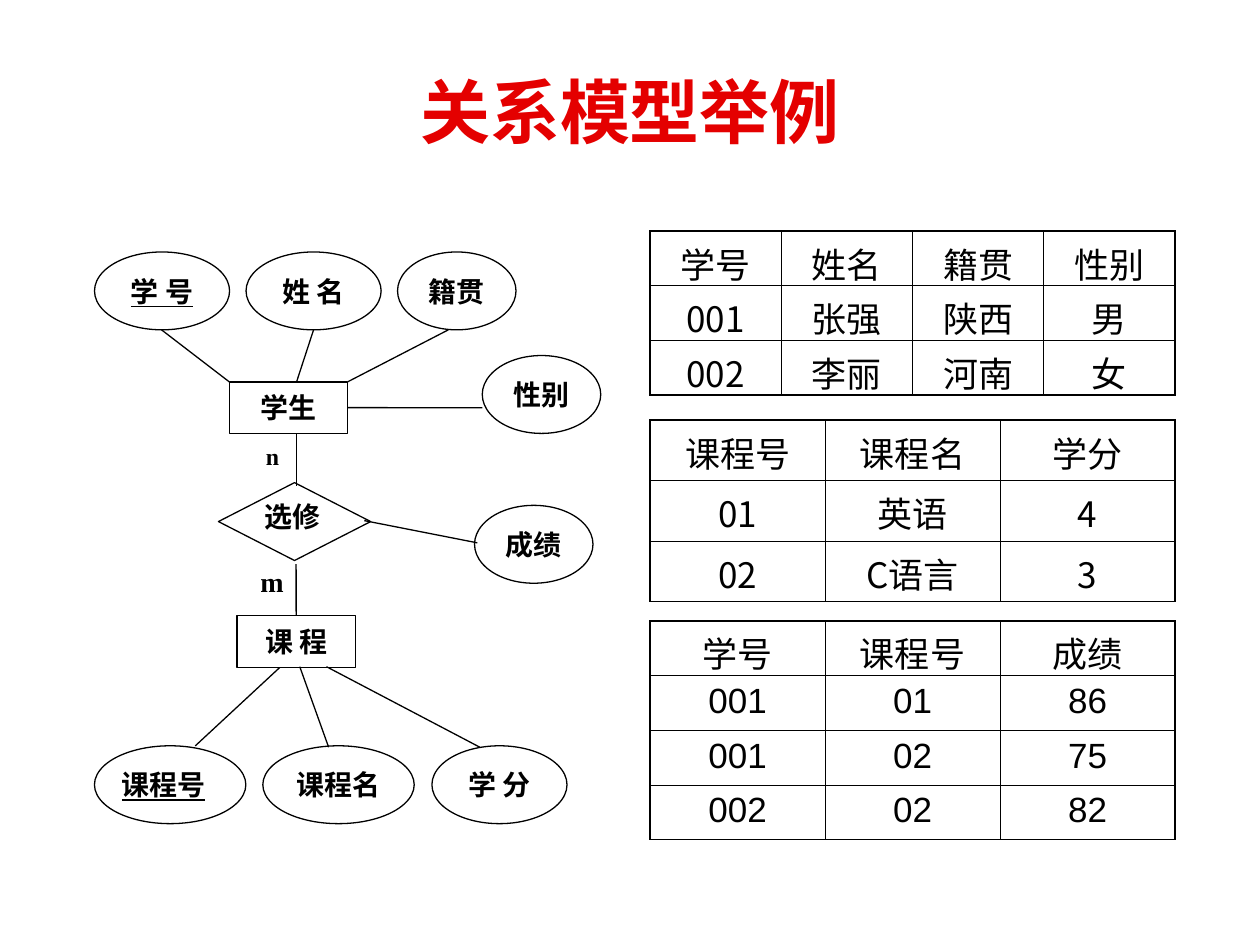
from dataclasses import dataclass

from lxml import etree
from pptx import Presentation
from pptx.dml.color import RGBColor
from pptx.enum.shapes import MSO_CONNECTOR, MSO_SHAPE
from pptx.enum.text import MSO_ANCHOR, PP_ALIGN
from pptx.oxml.ns import qn
from pptx.util import Pt

ELLIPSE, RECT, DIAMOND = MSO_SHAPE.OVAL, MSO_SHAPE.RECTANGLE, MSO_SHAPE.DIAMOND
STRAIGHT = MSO_CONNECTOR.STRAIGHT
CENTER, JUSTIFY = PP_ALIGN.CENTER, PP_ALIGN.JUSTIFY
TOP, MIDDLE = MSO_ANCHOR.TOP, MSO_ANCHOR.MIDDLE


@dataclass(frozen=True)
class Theme:
    red: RGBColor = RGBColor(0xE4, 0x00, 0x00)
    black: RGBColor = RGBColor(0, 0, 0)
    white: RGBColor = RGBColor(255, 255, 255)
    cjk: str = "Noto Sans CJK SC"
    sans: str = "Arial"
    serif: str = "Times New Roman"
    title: float = 40
    cell: float = 20
    node: float = 16
    small: float = 13.6
    line: float = 0.75
    outer: float = 1.08
    inner: float = 0.45


T = Theme()
ELLIPSE_H, BOX_W, BOX_H = 44.5, 67.7, 29.5
ATTRIBUTES = [
    ("学 号", 54, 144, 77.2),
    ("姓 名", 140.6, 144, 77.2),
    ("籍贯", 227.2, 144, 67.7),
    ("性别", 275.6, 203.2, 67.7),
    ("成绩", 271.2, 288.8, 67.7),
    ("课程号", 54, 426.2, 86.5),
    ("课程名", 150.2, 426.2, 86.5),
    ("学 分", 246.8, 426.2, 77.2),
]
KEYS = {"学 号": {"underline": True}, "课程号": {"underline": True}}
LINES = [
    (92.3, 188.5, 131, 218.2),
    (179.2, 188.5, 169.5, 218.2),
    (256.2, 188.5, 198.7, 218.2),
    (169.5, 247.7, 169.5, 277.7),
    (208.2, 297.5, 272.8, 310.2),
    (159.8, 381.5, 111.6, 426.2),
    (171.3, 381, 187.8, 427),
    (186.6, 381, 274.2, 427),
]
STUDENTS = [
    ["学号", "姓名", "籍贯", "性别"],
    ["001", "张强", "陕西", "男"],
    ["002", "李丽", "河南", "女"],
]
COURSES = [
    ["课程号", "课程名", "学分"],
    ["01", "英语", "4"],
    ["02", "C语言", "3"],
]
GRADES = [
    ["学号", "课程号", "成绩"],
    ["001", "01", "86"],
    ["001", "02", "75"],
    ["002", "02", "82"],
]


def set_attrs(obj, values):
    for name, value in values.items():
        setattr(obj, name, value)


def write(tf, text, size, name, color=T.black, align=CENTER, **fmt):
    p = tf.paragraphs[0]
    p.alignment = align
    r = p.add_run()
    r.text = text
    set_attrs(r.font, {"size": Pt(size), "name": name, **fmt})
    r.font.color.rgb = color
    ea = etree.SubElement(r.font._element, qn("a:ea"))
    ea.set("typeface", T.cjk)
    return p


def frame(tf, anchor, side=3):
    set_attrs(tf, {
        "word_wrap": True, "vertical_anchor": anchor,
        "margin_left": Pt(side), "margin_right": Pt(side),
        "margin_top": 0, "margin_bottom": 0,
    })


def add_title(s, text):
    sp = s.shapes.title
    set_attrs(sp, {"left": Pt(24), "top": Pt(18), "width": Pt(672), "height": Pt(90)})
    sp.text_frame.vertical_anchor = MIDDLE
    write(sp.text_frame, text, T.title, T.sans, T.red, bold=True)


def add_node(s, kind, x, y, w, h, text="", align=CENTER, **fmt):
    sp = s.shapes.add_shape(kind, Pt(x), Pt(y), Pt(w), Pt(h))
    sp.shadow.inherit = False
    sp.fill.solid()
    sp.fill.fore_color.rgb = T.white
    sp.line.color.rgb = T.black
    sp.line.width = Pt(T.line)
    frame(sp.text_frame, MIDDLE)
    if text:
        write(sp.text_frame, text, T.node, T.serif, align=align, bold=True, **fmt)
    return sp


def add_label(s, text, x, y, w, h, size=T.node, anchor=TOP, align=CENTER, side=0):
    tf = s.shapes.add_textbox(Pt(x), Pt(y), Pt(w), Pt(h)).text_frame
    frame(tf, anchor, side)
    return write(tf, text, size, T.serif, align=align, bold=True)


def add_line(s, x1, y1, x2, y2):
    c = s.shapes.add_connector(STRAIGHT, Pt(x1), Pt(y1), Pt(x2), Pt(y2))
    c.line.color.rgb = T.black
    c.line.width = Pt(T.line)
    etree.SubElement(c._element.spPr, qn("a:effectLst"))
    return c


def add_border(cell, side, width):
    ln = etree.SubElement(cell._tc.get_or_add_tcPr(), qn(f"a:ln{side}"), w=str(Pt(width)))
    fill = etree.SubElement(ln, qn("a:solidFill"))
    etree.SubElement(fill, qn("a:srgbClr"), val=str(T.black))


def add_grid(s, rows, y, row_h, body_font=T.cjk):
    n, m = len(rows), len(rows[0])
    table = s.shapes.add_table(n, m, Pt(371.5), Pt(y), Pt(300), Pt(row_h * n)).table
    set_attrs(table, {"first_row": False, "horz_banding": False})
    for col in table.columns:
        col.width = Pt(300 / m)
    for i, row in enumerate(rows):
        table.rows[i].height = Pt(row_h)
        for j, text in enumerate(row):
            cell = table.cell(i, j)
            edges = {"L": j == 0, "R": j == m - 1, "T": i == 0, "B": i == n - 1}
            for side, is_outer in edges.items():
                add_border(cell, side, T.outer if is_outer else T.inner)
            cell.fill.background()
            p = write(cell.text_frame, text, T.cell, body_font if i else T.cjk)
            p.space_before = Pt(5)


def add_diagram(s):
    for text, x, y, w in ATTRIBUTES:
        align = JUSTIFY if text == "课程号" else CENTER
        add_node(s, ELLIPSE, x, y, w, ELLIPSE_H, text, align, **KEYS.get(text, {}))
    student = add_node(s, RECT, 131, 218.2, BOX_W, BOX_H, "学生")
    course = add_node(s, RECT, 135.4, 351.8, BOX_W, BOX_H, "课 程")
    add_node(s, DIAMOND, 124.8, 275.8, 87, ELLIPSE_H)
    for ends in LINES:
        add_line(s, *ends)
    add_line(s, 198.7, 233, 275.6, 233).begin_connect(student, 3)
    add_line(s, 169.2, 322.4, 169.2, 351.8).end_connect(course, 0)
    add_label(s, "选修", 132.5, 280, 69.8, 29.5, anchor=MIDDLE)
    add_label(s, "n", 149, 254.2, 17.3, 18, T.small, align=JUSTIFY, side=3).line_spacing = 0.9
    add_label(s, "m", 140.4, 322.6, 30.2, 20.2)


def main():
    prs = Presentation()
    set_attrs(prs, {"slide_width": Pt(720), "slide_height": Pt(540)})
    s = prs.slides.add_slide(prs.slide_layouts[5])
    add_title(s, "关系模型举例")
    add_diagram(s)
    add_grid(s, STUDENTS, 132, 31.2)
    add_grid(s, COURSES, 240, 34.6)
    add_grid(s, GRADES, 354.8, 31.2, T.sans)
    prs.save("out.pptx")


if __name__ == "__main__":
    main()
